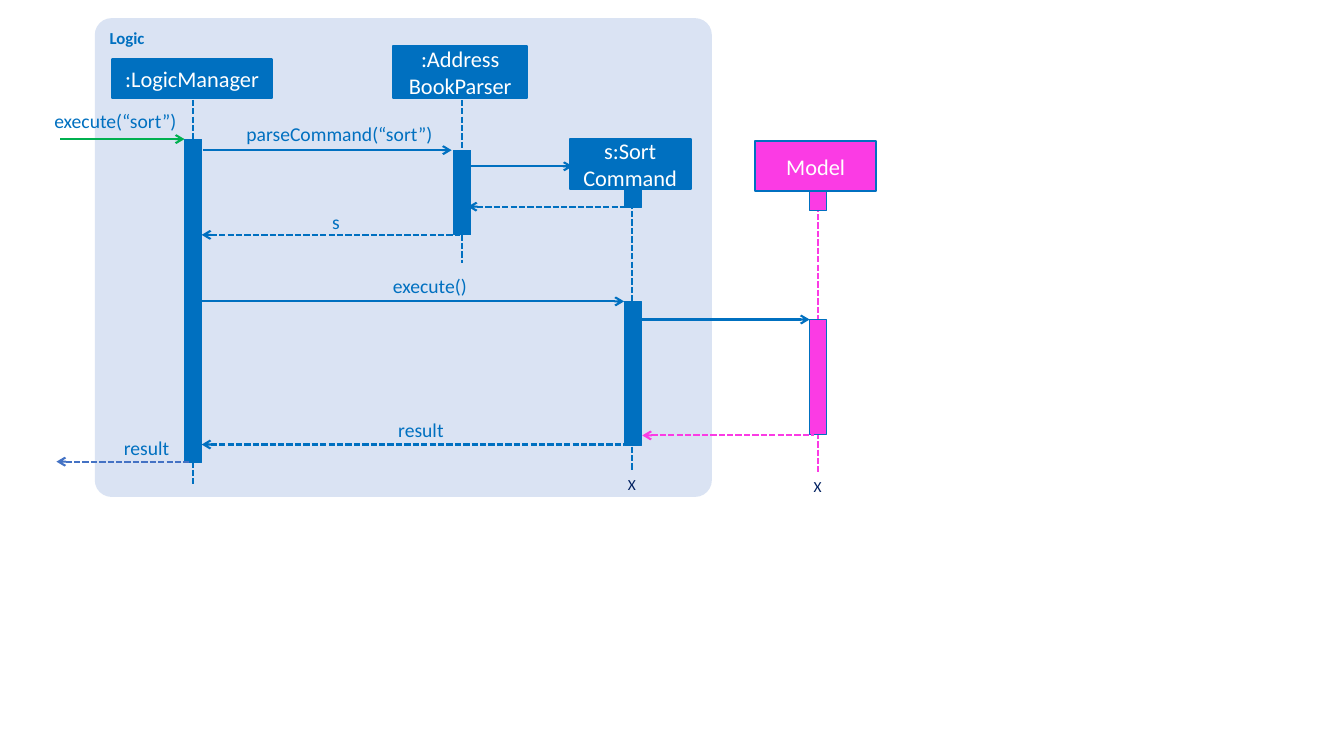
from lxml import etree
from pptx import Presentation
from pptx.dml.color import RGBColor
from pptx.enum.dml import MSO_LINE
from pptx.enum.shapes import MSO_CONNECTOR, MSO_SHAPE
from pptx.enum.text import MSO_ANCHOR, MSO_AUTO_SIZE, PP_ALIGN
from pptx.oxml.ns import qn
from pptx.util import Emu, Pt

DASH = MSO_LINE.SQUARE_DOT
STRAIGHT = MSO_CONNECTOR.STRAIGHT
RECTANGLE, ROUNDED = MSO_SHAPE.RECTANGLE, MSO_SHAPE.ROUNDED_RECTANGLE
LEFT, CENTER, RIGHT = PP_ALIGN.LEFT, PP_ALIGN.CENTER, PP_ALIGN.RIGHT
TOP, MIDDLE = MSO_ANCHOR.TOP, MSO_ANCHOR.MIDDLE
FIT = MSO_AUTO_SIZE.SHAPE_TO_FIT_TEXT

COLORS = {
    "logic": "0070C0",
    "model": "FB3BE4",
    "frame": "DAE3F3",
    "call": "00B050",
    "reply": "4472C4",
    "end": "002060",
    "white": "FFFFFF",
}
EMU_PER_PX = 9144  # 100 px to the inch


def px(length):
    return Emu(length * EMU_PER_PX)


def rgb(name):
    return RGBColor.from_string(COLORS[name])


class SequenceDiagram:
    font = "Calibri"

    def __init__(self, page):
        self.shapes = page.shapes

    def set_text(self, box, text, size, color, align, bold=False):
        box.text_frame.text = text
        for para in box.text_frame.paragraphs:
            para.alignment = align
            for span in para.runs:
                span.font.name = self.font
                span.font.size = Pt(size)
                span.font.bold = bold
                span.font.color.rgb = rgb(color)

    def block(self, left, top, width, height, fill, line_width, kind=RECTANGLE):
        """Add a filled shape; a line width of 0 leaves out the outline."""
        box = self.shapes.add_shape(kind, px(left), px(top), px(width), px(height))
        box.shadow.inherit = False
        box.fill.solid()
        box.fill.fore_color.rgb = rgb(fill)
        if line_width:
            box.line.color.rgb = rgb("logic")
            box.line.width = Pt(line_width)
        else:
            box.line.fill.background()
        return box

    def frame(self, left, top, width, height, title):
        box = self.block(left, top, width, height, "frame", 0, ROUNDED)
        box.adjustments[0] = 0.035
        box.text_frame.vertical_anchor = TOP
        self.set_text(box, title, 12, "logic", LEFT, bold=True)

    def participant(self, left, top, width, height, name, fill="logic"):
        box = self.block(left, top, width, height, fill, 1.5)
        box.text_frame.vertical_anchor = MIDDLE
        self.set_text(box, name, 16, "white", CENTER)

    def activation(self, left, top, height, fill="logic"):
        self.block(left, top, 17, height, fill, 0.5)

    def line(self, start, end, color, dashed=False, arrow=None):
        """Add a line; arrow is headEnd (at start), tailEnd (at end) or None."""
        link = self.shapes.add_connector(STRAIGHT, *map(px, start + end))
        link.line.color.rgb = rgb(color)
        link.line.width = Pt(1.5)
        if dashed:
            link.line.dash_style = DASH
        properties = link.element.spPr
        if arrow:
            outline = properties.find(qn("a:ln"))
            etree.SubElement(outline, qn(f"a:{arrow}"), type="arrow")
        etree.SubElement(properties, qn("a:effectLst"))

    def lifeline(self, x, top, bottom, color="logic"):
        self.line((x, top), (x, bottom), color, dashed=True)

    def call(self, left, right, y, color="logic"):
        self.line((left, y), (right, y), color, arrow="tailEnd")

    def reply(self, left, right, y, color="logic"):
        self.line((left, y), (right, y), color, dashed=True, arrow="headEnd")

    def label(self, left, top, width, text):
        box = self.shapes.add_textbox(px(left), px(top), px(width), px(24))
        frame = box.text_frame
        frame.word_wrap = True
        frame.auto_size = FIT
        frame.margin_left = frame.margin_right = 0
        frame.margin_top = frame.margin_bottom = 0
        self.set_text(box, text, 14, "logic", RIGHT)

    def end_mark(self, left, top):
        box = self.shapes.add_textbox(px(left), px(top), px(28), px(29))
        box.text_frame.word_wrap = False
        box.text_frame.auto_size = FIT
        self.set_text(box, "X", 11, "end", LEFT)


def main():
    deck = Presentation()
    deck.slide_width, deck.slide_height = px(1333), px(750)
    diagram = SequenceDiagram(deck.slides.add_slide(deck.slide_layouts[6]))

    diagram.frame(94, 18, 612, 475, "Logic")

    diagram.lifeline(191, 99, 480)
    diagram.lifeline(458, 99, 261)
    diagram.lifeline(627, 176, 466)
    diagram.lifeline(811, 179, 468, "model")

    for left, top, height in [(183, 138, 321), (450, 149, 84),
                              (619, 176, 30), (619, 299, 143)]:
        diagram.activation(left, top, height)
    for top, height in [(179, 30), (317, 114)]:
        diagram.activation(803, top, height, "model")

    diagram.call(60, 183, 138, "call")
    for left, right, y in [(201, 448, 149), (467, 568, 165),
                           (200, 619, 299), (637, 803, 317)]:
        diagram.call(left, right, y)

    for left, right, y in [(464, 627, 205), (200, 456, 233), (200, 619, 441)]:
        diagram.reply(left, right, y)
    diagram.reply(56, 187, 458, "reply")
    diagram.reply(637, 807, 432, "model")

    diagram.participant(111, 59, 159, 38, ":LogicManager")
    diagram.participant(390, 46, 133, 51, ":Address\nBookParser")
    diagram.participant(565, 138, 120, 50, "s:Sort\vCommand")
    diagram.participant(749, 140, 120, 50, "Model", "model")

    for left, top, width, text in [
        (19, 108, 156, "execute(“sort”)"),
        (221, 121, 208, "parseCommand(“sort”)"),
        (313, 208, 24, "s"),
        (369, 272, 94, "execute()"),
        (372, 415, 68, "result"),
        (85, 432, 83, "result"),
    ]:
        diagram.label(left, top, width, text)

    diagram.end_mark(613, 466)
    diagram.end_mark(797, 468)

    deck.save("out.pptx")


if __name__ == "__main__":
    main()
